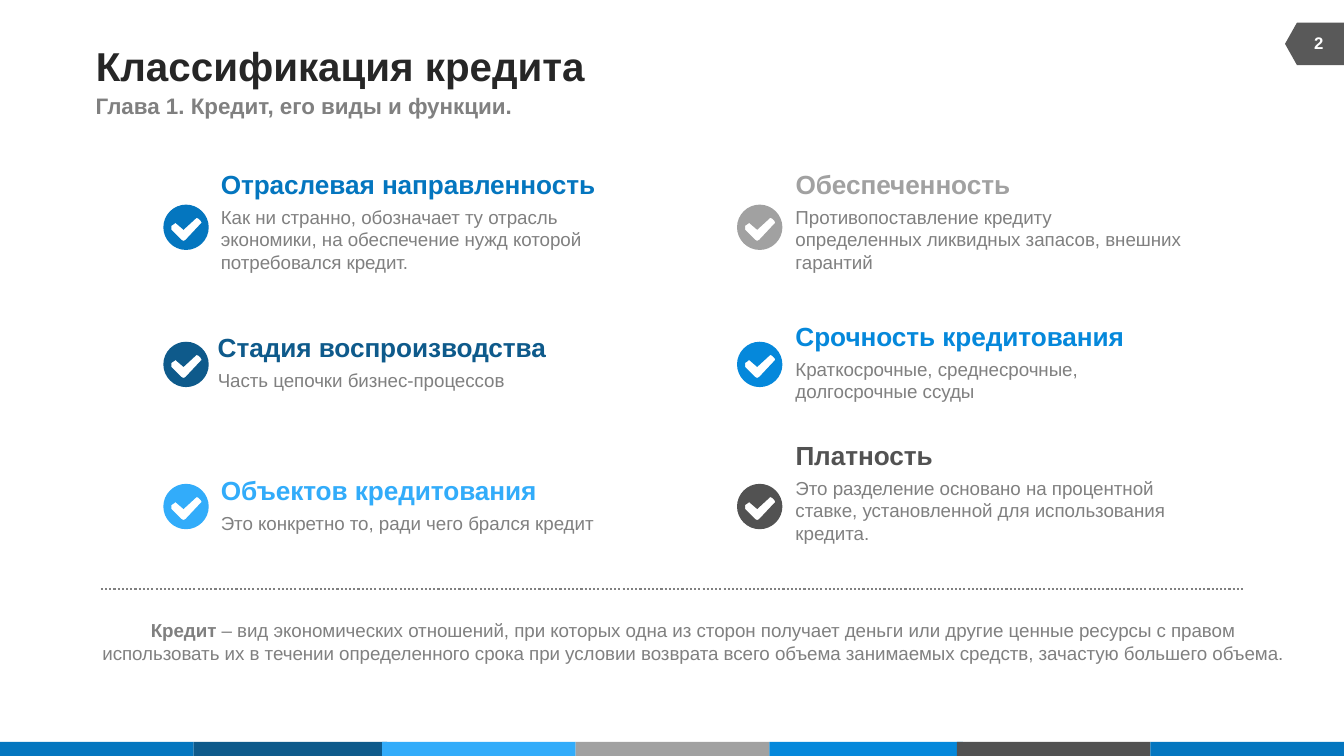
"""Build the credit classification slide with python-pptx."""
from math import cos, pi, sin

from lxml import etree
from pptx import Presentation
from pptx.dml.color import RGBColor
from pptx.enum.dml import MSO_LINE
from pptx.enum.shapes import MSO_CONNECTOR, MSO_SHAPE
from pptx.enum.text import MSO_ANCHOR, PP_ALIGN
from pptx.oxml.ns import qn
from pptx.util import Inches, Pt

RECTANGLE = MSO_SHAPE.RECTANGLE
PAGE_TAG = MSO_SHAPE.FLOWCHART_OFFPAGE_CONNECTOR
STRAIGHT = MSO_CONNECTOR.STRAIGHT
DOTTED = MSO_LINE.ROUND_DOT
TOP, MIDDLE = MSO_ANCHOR.TOP, MSO_ANCHOR.MIDDLE
LEFT, CENTER = PP_ALIGN.LEFT, PP_ALIGN.CENTER

BLUE = RGBColor(0x04, 0x76, 0xBF)
NAVY = RGBColor(0x0E, 0x5A, 0x8B)
SKY = RGBColor(0x32, 0xAC, 0xFA)
SILVER = RGBColor(0xA1, 0xA1, 0xA1)
AZURE = RGBColor(0x05, 0x88, 0xDB)
CHARCOAL = RGBColor(0x52, 0x52, 0x52)
TAG_GRAY = RGBColor(0x59, 0x59, 0x59)
TEXT_GRAY = RGBColor(0x80, 0x80, 0x80)
TITLE_BLACK = RGBColor(0x26, 0x26, 0x26)
WHITE = RGBColor(0xFF, 0xFF, 0xFF)

BODY_SIZE, HEADING_SIZE = 13.33, 18.67
LINE_HEIGHT = 0.22
BODY_OFFSET = 0.37
ICON_RADIUS = 0.45 / 2
ARC_HANDLE = 0.55
QUARTERS = [quarter * pi / 2 for quarter in range(5)]
CHECK_OUTLINE = [
    (0.37, 0.16), (0.35, 0.14), (0.33, 0.13), (0.32, 0.14), (0.20, 0.25),
    (0.13, 0.19), (0.12, 0.18), (0.11, 0.19), (0.08, 0.21), (0.08, 0.25),
    (0.18, 0.35), (0.20, 0.36), (0.22, 0.35), (0.37, 0.19), (0.38, 0.18),
]

ICON_LEFTS = (1.62, 7.31)
ICON_TOPS = (2.03, 3.39, 4.8)
BODY_WIDTHS = (3.81, 3.84)
CRITERIA = [
    (0, 0, 2.19, 1.67, 3.76, BLUE, "Отраслевая направленность", 3,
     "Как ни странно, обозначает ту отрасль экономики, на обеспечение нужд "
     "которой потребовался кредит."),
    (0, 1, 2.16, 3.29, 3.37, NAVY, "Стадия воспроизводства", 1,
     "Часть цепочки бизнес-процессов"),
    (0, 2, 2.19, 4.71, 3.24, SKY, "Объектов кредитования", 1,
     "Это конкретно то, ради чего брался кредит"),
    (1, 0, 7.89, 1.67, 2.15, SILVER, "Обеспеченность", 3,
     "Противопоставление кредиту определенных ликвидных запасов, внешних "
     "гарантий"),
    (1, 1, 7.89, 3.18, 3.3, AZURE, "Срочность кредитования", 2,
     "Краткосрочные, среднесрочные, долгосрочные ссуды"),
    (1, 2, 7.89, 4.36, 1.45, CHARCOAL, "Платность", 3,
     "Это разделение основано на процентной ставке, установленной для "
     "использования кредита."),
]
STRIPE_LEFTS = (0, 1.92, 3.79, 5.71, 7.63, 9.49, 11.41)
STRIPE_COLORS = (BLUE, NAVY, SKY, SILVER, AZURE, CHARCOAL, BLUE)


def disc_point(angle, handle=0):
    """Return a point on the disc, moved along its tangent by the handle."""
    return (ICON_RADIUS * (1 + cos(angle) - handle * sin(angle)),
            ICON_RADIUS * (1 + sin(angle) + handle * cos(angle)))


class SlideBuilder:
    """Hold the slide and its font, and draw each kind of element."""

    def __init__(self, slide, font_name="Arial"):
        self.shapes = slide.shapes
        self.font_name = font_name

    def paint(self, shape, color):
        """Give a shape a flat fill."""
        shape.shadow.inherit = False
        shape.fill.solid()
        shape.fill.fore_color.rgb = color
        shape.line.fill.background()

    def block(self, kind, left, top, width, height, color, rotation=0):
        """Draw a filled preset shape."""
        shape = self.shapes.add_shape(
            kind, Inches(left), Inches(top), Inches(width), Inches(height))
        shape.rotation = rotation
        self.paint(shape, color)

    def text(self, left, top, width, height, runs, size, color,
             anchor=TOP, align=LEFT):
        """Write one paragraph from (text, bold) runs."""
        box = self.shapes.add_textbox(
            Inches(left), Inches(top), Inches(width), Inches(height))
        frame = box.text_frame
        frame.word_wrap = True
        frame.vertical_anchor = anchor
        frame.margin_left = frame.margin_right = 0
        frame.margin_top = frame.margin_bottom = 0
        paragraph = frame.paragraphs[0]
        paragraph.alignment = align
        for content, bold in runs:
            run = paragraph.add_run()
            run.text = content
            run.font.name = self.font_name
            run.font.size = Pt(size)
            run.font.bold = bold
            run.font.color.rgb = color

    def round_disc(self, shape):
        """Turn the four sides of the outer outline into quarter arcs."""
        sides = list(shape._element.iter(qn("a:lnTo")))
        for side, start, end in zip(sides, QUARTERS, QUARTERS[1:]):
            curve = etree.Element(qn("a:cubicBezTo"))
            for x, y in (disc_point(start, ARC_HANDLE),
                         disc_point(end, -ARC_HANDLE), disc_point(end)):
                etree.SubElement(curve, qn("a:pt"),
                                 x=str(Inches(x)), y=str(Inches(y)))
            side.getparent().replace(side, curve)

    def check_icon(self, left, top, color):
        """Draw a disc with a check mark cut out."""
        disc = [disc_point(angle) for angle in QUARTERS]
        outer, inner = (
            [(Inches(left + x), Inches(top + y)) for x, y in outline]
            for outline in (disc, CHECK_OUTLINE))
        builder = self.shapes.build_freeform(*outer[0])
        builder.add_line_segments(outer[1:], close=True)
        builder.move_to(*inner[0])
        builder.add_line_segments(inner[1:], close=True)
        shape = builder.convert_to_shape()
        self.round_disc(shape)
        self.paint(shape, color)

    def dotted_line(self, left, right, top, color):
        """Draw a horizontal dotted rule."""
        line = self.shapes.add_connector(
            STRAIGHT, Inches(left), Inches(top), Inches(right), Inches(top))
        line.line.color.rgb = color
        line.line.width = Pt(1.5)
        line.line.dash_style = DOTTED
        etree.SubElement(line._element.spPr, qn("a:effectLst"))

    def criterion(self, column, row, left, top, width, color, heading,
                  lines, body):
        """Draw a check icon with its heading and description."""
        self.text(left, top, width, 0.31, [(heading, True)], HEADING_SIZE, color)
        self.text(left, top + BODY_OFFSET, BODY_WIDTHS[column],
                  lines * LINE_HEIGHT, [(body, False)], BODY_SIZE, TEXT_GRAY)
        self.check_icon(ICON_LEFTS[column], ICON_TOPS[row], color)


def main():
    """Assemble and save the slide."""
    presentation = Presentation()
    presentation.slide_width = Inches(13.33)
    presentation.slide_height = Inches(7.5)
    builder = SlideBuilder(
        presentation.slides.add_slide(presentation.slide_layouts[6]))

    for left, color in zip(STRIPE_LEFTS, STRIPE_COLORS):
        builder.block(RECTANGLE, left, 7.36, 1.92, 0.14, color)
    builder.block(PAGE_TAG, 12.83, 0.14, 0.42, 0.59, TAG_GRAY, rotation=90)
    builder.text(12.8, 0.22, 0.56, 0.4, [("2", True)], 12, WHITE, MIDDLE, CENTER)
    builder.text(0.95, 0.39, 8.22, 0.52, [("Классификация кредита", True)],
                 28.8, TITLE_BLACK, MIDDLE)
    builder.text(0.95, 0.9, 6, 0.29,
                 [("Глава 1. Кредит, его виды и функции.", True)],
                 16, TEXT_GRAY, MIDDLE)

    for criterion in CRITERIA:
        builder.criterion(*criterion)

    builder.dotted_line(1, 12.33, 5.84, TEXT_GRAY)
    definition = (
        " – вид экономических отношений, при которых одна из сторон получает "
        "деньги или другие ценные ресурсы с правом использовать их в течении "
        "определенного срока при условии возврата всего объема занимаемых "
        "средств, зачастую большего объема.")
    builder.text(0.94, 6.14, 11.86, 0.45,
                 [("Кредит", True), (definition, False)],
                 BODY_SIZE, TEXT_GRAY, align=CENTER)
    presentation.save("out.pptx")


if __name__ == "__main__":
    main()
